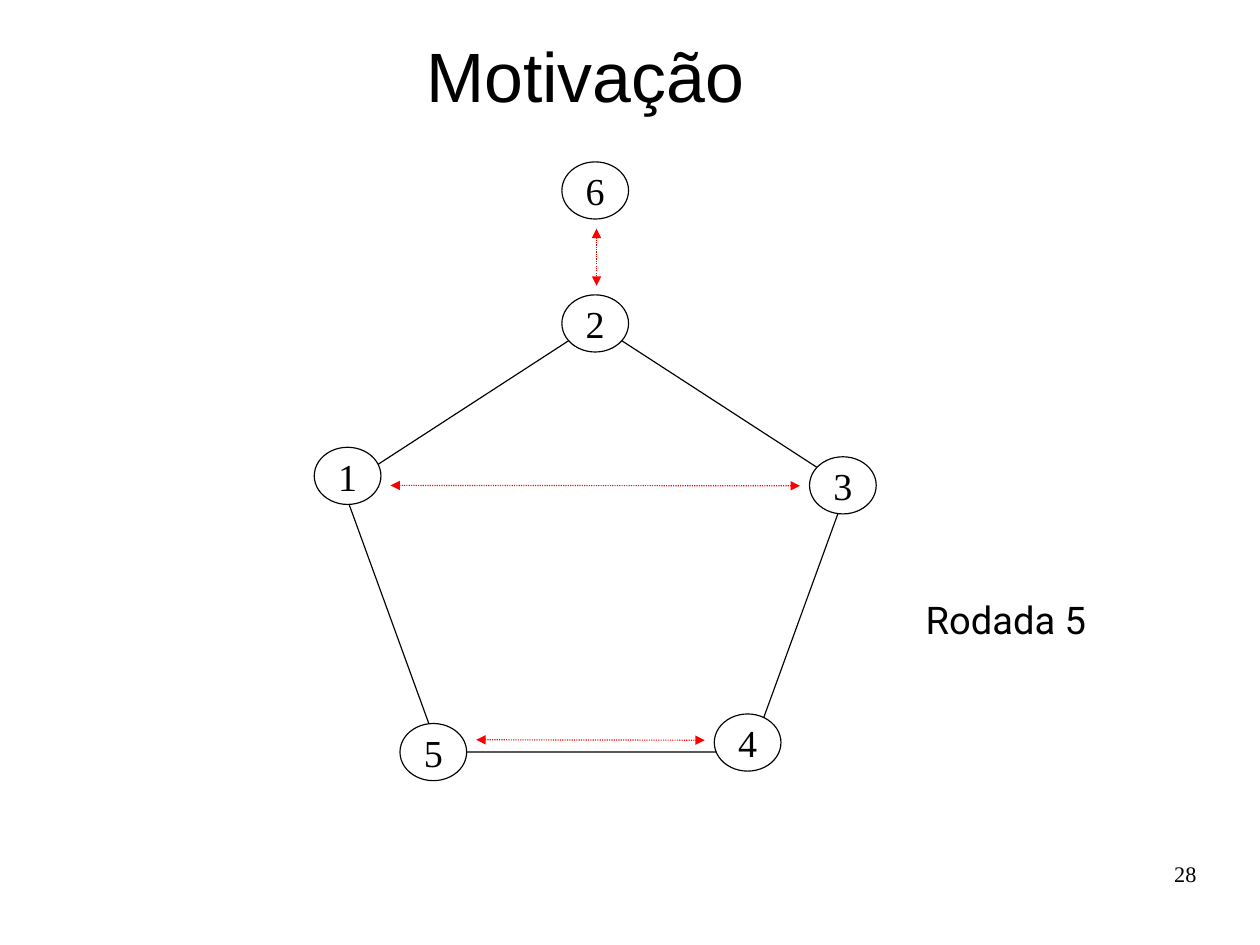
import pptx
import pptx.util
import pptx.dml.color
import pptx.enum.dml
import pptx.enum.shapes
import pptx.enum.text
import pptx.oxml

Pt = pptx.util.Pt
RGB = pptx.dml.color.RGBColor.from_string
KIND = pptx.enum.shapes.MSO_SHAPE
ALIGN = pptx.enum.text.PP_ALIGN
ANCHOR = pptx.enum.text.MSO_ANCHOR

# Content: lengths in points
SIZE = (793.75, 595.25)
RING = (216, 203.75, 318, 270)
NODE = (42, 36)
NODES = {  # label: centre
    "5": (273, 473.75),
    "4": (471, 467.75),
    "3": (531, 305.75),
    "2": (375, 203.75),
    "1": (219, 299.75),
    "6": (375, 120),
}
ARROWS = [
    (246, 305.75, 504, 306),
    (300, 466, 444, 466.25),
    (375.8, 144, 375.8, 180),
]
TEXTS = [  # text, style, box, alignment, anchor, insets (side, top)
    ("Rodada 5", "label", (571.75, 372, 124, 40), ALIGN.CENTER, ANCHOR.TOP, (7.2, 3.6)),
    ("Motivação", "title", (113.75, 18.5, 510, 57), ALIGN.CENTER, ANCHOR.MIDDLE, (7.2, 3.6)),
    ("28", "page", (568.75, 542, 185, 41), ALIGN.RIGHT, ANCHOR.TOP, (0, 0)),
]
THEME = {
    "ink": "000000",
    "paper": "FFFFFF",
    "link": "FF0000",
    "line": 0.75,
    "node": ("Times New Roman", 24),
    "label": ("Roboto", 24),
    "title": ("Arial", 44),
    "page": ("Times New Roman", 14),
}

deck = pptx.Presentation()
deck.slide_width, deck.slide_height = map(Pt, SIZE)
slide = deck.slides.add_slide(deck.slide_layouts[6])


def write(shape, text, style, align, anchor, pad, wrap):
    frame = shape.text_frame
    frame.word_wrap = wrap
    frame.vertical_anchor = anchor
    frame.margin_left = frame.margin_right = Pt(pad[0])
    frame.margin_top = frame.margin_bottom = Pt(pad[1])
    para = frame.paragraphs[0]
    para.alignment = align
    run = para.add_run()
    run.text = text
    name, size = THEME[style]
    run.font.name, run.font.size = name, Pt(size)
    run.font.color.rgb = RGB(THEME["ink"])


def stroke(line, tint):
    line.color.rgb = RGB(THEME[tint])
    line.width = Pt(THEME["line"])


def draw(kind, box):
    shape = slide.shapes.add_shape(kind, *map(Pt, box))
    shape.shadow.inherit = False
    stroke(shape.line, "ink")
    return shape


# Ring behind the nodes
draw(KIND.REGULAR_PENTAGON, RING).fill.background()

# Numbered nodes
wide, high = NODE
for label, (x, y) in NODES.items():
    node = draw(KIND.OVAL, (x - wide / 2, y - high / 2, wide, high))
    node.fill.solid()
    node.fill.fore_color.rgb = RGB(THEME["paper"])
    write(node, label, "node", ALIGN.CENTER, ANCHOR.MIDDLE, (7.2, 3.6), False)

# Dotted two-way arrows
for ends in ARROWS:
    arrow = slide.shapes.add_connector(
        pptx.enum.shapes.MSO_CONNECTOR.STRAIGHT, *map(Pt, ends))
    stroke(arrow.line, "link")
    arrow.line.dash_style = pptx.enum.dml.MSO_LINE.ROUND_DOT
    props = arrow.line._get_or_add_ln()
    space = pptx.oxml.ns.nsdecls("a")
    for end in ("headEnd", "tailEnd"):
        props.append(pptx.oxml.parse_xml(f'<a:{end} {space} type="triangle"/>'))
    props.getparent().append(pptx.oxml.parse_xml(f"<a:effectLst {space}/>"))

# Title, round label and page number
for text, style, box, align, anchor, pad in TEXTS:
    area = slide.shapes.add_textbox(*map(Pt, box))
    write(area, text, style, align, anchor, pad, True)

deck.save("out.pptx")
